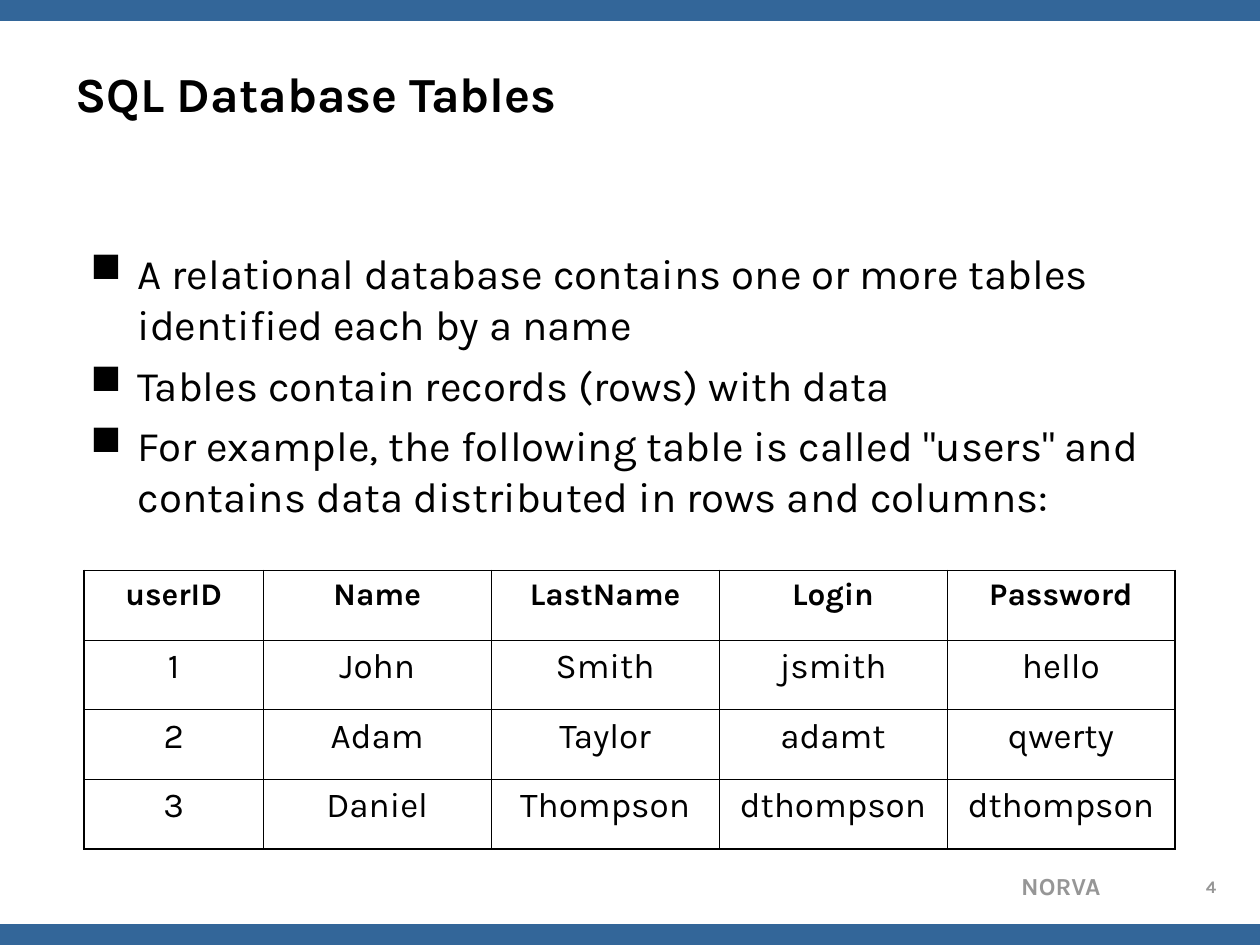
from dataclasses import dataclass

from lxml import etree
from pptx import Presentation
from pptx.dml.color import RGBColor
from pptx.enum.shapes import MSO_SHAPE
from pptx.enum.text import MSO_ANCHOR, MSO_AUTO_SIZE, PP_ALIGN
from pptx.oxml.ns import qn
from pptx.util import Pt

RECT = MSO_SHAPE.RECTANGLE
TOP, MIDDLE = MSO_ANCHOR.TOP, MSO_ANCHOR.MIDDLE
NO_AUTOFIT = MSO_AUTO_SIZE.NONE
LEFT, CENTER, RIGHT = PP_ALIGN.LEFT, PP_ALIGN.CENTER, PP_ALIGN.RIGHT

BULLETS = [
    "A relational database contains one or more tables identified each by a name",
    "Tables contain records (rows) with data",
    'For example, the following table is called "users" and contains data '
    "distributed in rows and columns:",
]
USERS = [
    ["userID", "Name", "LastName", "Login", "Password"],
    ["1", "John", "Smith", "jsmith", "hello"],
    ["2", "Adam", "Taylor", "adamt", "qwerty"],
    ["3", "Daniel", "Thompson", "dthompson", "dthompson"],
]


@dataclass(frozen=True)
class Theme:
    """Colours, font, type sizes and rule widths."""

    font: str = "Karla"
    bar: str = "336699"
    ink: str = "000000"
    muted: str = "969696"
    title: int = 28
    body: int = 24
    cell: int = 20
    header: int = 18
    footer: int = 14
    number: int = 10
    outer: float = 1.08
    inner: float = 0.45


def write(p, text, *, font, size, color, bold=False, align=LEFT, before=0):
    """Put one formatted run into a paragraph."""
    p.alignment = align
    p.space_before = Pt(before)
    r = p.add_run()
    r.text = text
    r.font.name = font
    r.font.size = Pt(size)
    r.font.bold = bold
    r.font.color.rgb = RGBColor.from_string(color)


def set_bullet(p, char, color, indent):
    """Give a paragraph a hanging bullet."""
    pPr = p._p.get_or_add_pPr()
    pPr.set("marL", str(Pt(indent)))
    pPr.set("indent", str(-Pt(indent)))
    clr = etree.SubElement(pPr, qn("a:buClr"))
    etree.SubElement(clr, qn("a:srgbClr"), val=color)
    etree.SubElement(pPr, qn("a:buChar"), char=char)


def set_borders(cell, widths, color):
    """Draw the left, right, top and bottom borders of a cell."""
    tcPr = cell._tc.get_or_add_tcPr()
    for i, (side, width) in enumerate(zip("LRTB", widths)):
        ln = etree.Element(qn(f"a:ln{side}"), w=str(Pt(width)))
        fill = etree.SubElement(ln, qn("a:solidFill"))
        etree.SubElement(fill, qn("a:srgbClr"), val=color)
        tcPr.insert(i, ln)


class SlideBuilder:
    """Adds themed elements to one slide."""

    def __init__(self, slide, theme):
        self.slide = slide
        self.theme = theme

    def bar(self, x, y, w, h):
        """Add a plain coloured bar."""
        sp = self.slide.shapes.add_shape(RECT, Pt(x), Pt(y), Pt(w), Pt(h))
        sp.shadow.inherit = False
        sp.fill.solid()
        sp.fill.fore_color.rgb = RGBColor.from_string(self.theme.bar)
        sp.line.fill.background()

    def title(self, text, x, y, w, h):
        """Place and fill the title placeholder."""
        sp = self.slide.shapes.title
        sp.left, sp.top, sp.width, sp.height = Pt(x), Pt(y), Pt(w), Pt(h)
        tf = sp.text_frame
        tf.auto_size = NO_AUTOFIT
        tf.vertical_anchor = MIDDLE
        t = self.theme
        write(tf.paragraphs[0], text, font=t.font, size=t.title, color=t.ink, bold=True)

    def box(self, x, y, w, h):
        """Add an empty wrapping text box and return its frame."""
        tf = self.slide.shapes.add_textbox(Pt(x), Pt(y), Pt(w), Pt(h)).text_frame
        tf.word_wrap = True
        tf.vertical_anchor = TOP
        return tf

    def bullets(self, items, x, y, w, h):
        """Add a bulleted list."""
        tf = self.box(x, y, w, h)
        t = self.theme
        for i, item in enumerate(items):
            p = tf.add_paragraph() if i else tf.paragraphs[0]
            write(p, item, font=t.font, size=t.body, color=t.ink, before=6)
            set_bullet(p, "■", t.ink, 27)

    def footer(self, text, x, y, w, h, size, align):
        """Add a muted bold footer text."""
        p = self.box(x, y, w, h).paragraphs[0]
        t = self.theme
        write(p, text, font=t.font, size=size, color=t.muted, bold=True, align=align)

    def table(self, rows, x, y, widths, row_height):
        """Add a ruled table with a bold first row."""
        t = self.theme
        n, m = len(rows), len(widths)
        frame = self.slide.shapes.add_table(
            n, m, Pt(x), Pt(y), Pt(sum(widths)), Pt(row_height * n))
        tbl = frame.table
        tbl.first_row = tbl.horz_banding = False
        for col, width in zip(tbl.columns, widths):
            col.width = Pt(width)
        for i, values in enumerate(rows):
            tbl.rows[i].height = Pt(row_height)
            size = t.cell if i else t.header
            for j, value in enumerate(values):
                cell = tbl.cell(i, j)
                cell.fill.background()
                write(cell.text_frame.paragraphs[0], value, font=t.font, size=size,
                      color=t.ink, bold=i == 0, align=CENTER, before=size / 4)
                edges = (j == 0, j == m - 1, i == 0, i == n - 1)
                set_borders(cell, [t.outer if e else t.inner for e in edges], t.ink)


def main():
    """Build and save the slide."""
    prs = Presentation()
    prs.slide_width, prs.slide_height = Pt(720), Pt(540)
    theme = Theme()
    s = SlideBuilder(prs.slides.add_slide(prs.slide_layouts[5]), theme)
    for y in (0, 528):
        s.bar(0, y, 720, 12)
    s.footer("NORVA", 448, 494, 188, 24.5, theme.footer, RIGHT)
    s.title("SQL Database Tables", 36, 21.5, 648, 63)
    s.bullets(BULLETS, 44.5, 138, 650, 348)
    s.table(USERS, 48, 326, [102.5] + [130.25] * 4, 39.75)
    s.footer("4", 676, 497, 32, 18, theme.number, CENTER)
    prs.save("out.pptx")


if __name__ == "__main__":
    main()
